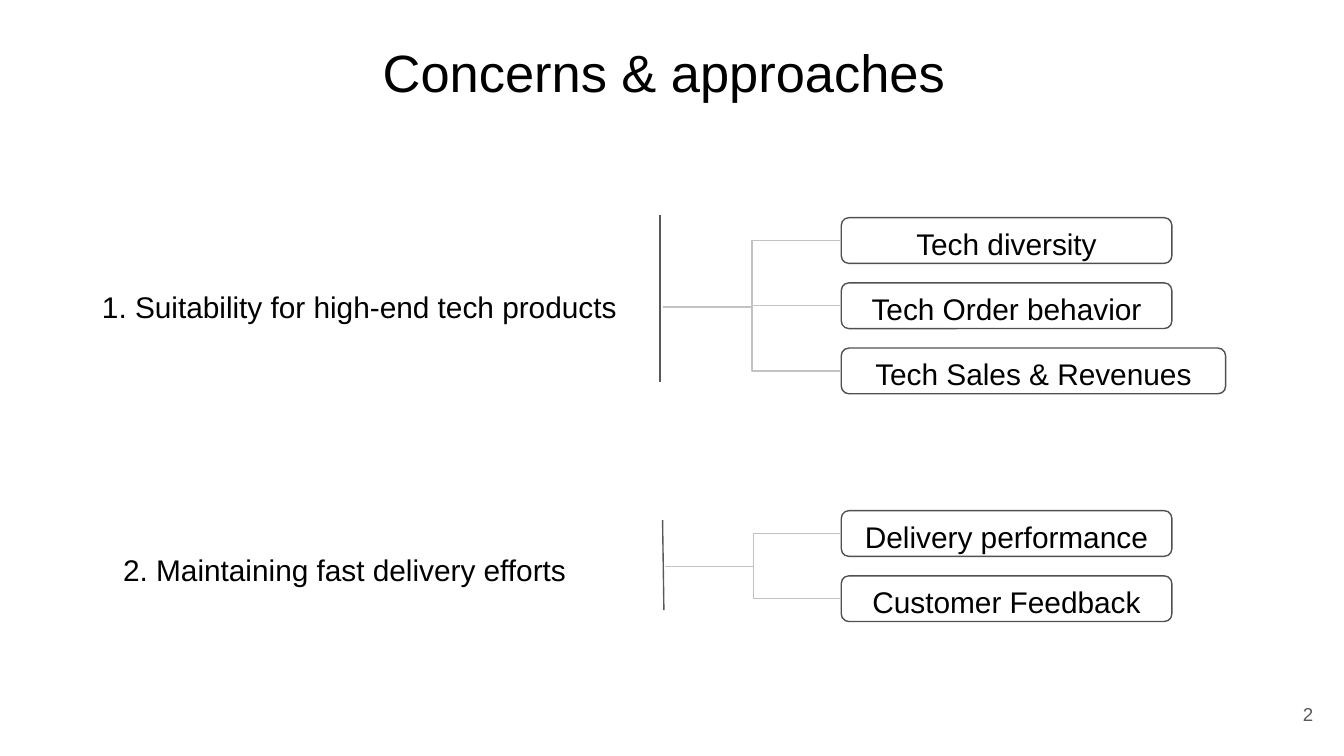
from pptx import Presentation
from pptx.dml.color import RGBColor
from pptx.enum.shapes import MSO_CONNECTOR, MSO_SHAPE
from pptx.enum.text import MSO_ANCHOR, PP_ALIGN
from pptx.oxml.ns import qn
from pptx.util import Inches, Pt
from lxml import etree

BLACK = RGBColor(0x00, 0x00, 0x00)
WHITE = RGBColor(0xFF, 0xFF, 0xFF)
OUTLINE = RGBColor(0x50, 0x50, 0x50)
GRAY = RGBColor(0x59, 0x59, 0x59)
BRANCH = RGBColor(0xC2, 0xC2, 0xC2)
LEFT, CENTER, RIGHT = PP_ALIGN.LEFT, PP_ALIGN.CENTER, PP_ALIGN.RIGHT
TOP, MIDDLE = MSO_ANCHOR.TOP, MSO_ANCHOR.MIDDLE
STRAIGHT, ELBOW = MSO_CONNECTOR.STRAIGHT, MSO_CONNECTOR.ELBOW
ROUNDED = MSO_SHAPE.ROUNDED_RECTANGLE
LEFT_SITE, RIGHT_SITE = 1, 3

# Content: each concern with its bar and its approaches (text, width)
TITLE = "Concerns & approaches"
PAGE_NUMBER = "2"
CONCERNS = [
    {"text": "1. Suitability for high-end tech products",
     "area": (0.63, 1.97, 4.3, 0.63), "spacing": 1.0,
     "bar": (4.91, 1.6, 4.91, 2.84), "first_row": 1.62,
     "approaches": [("Tech diversity", 2.46), ("Tech Order behavior", 2.46),
                    ("Tech Sales & Revenues", 2.86)]},
    {"text": "2. Maintaining fast delivery efforts",
     "area": (0.79, 3.93, 4.16, 0.57), "spacing": 1.15,
     "bar": (4.93, 3.87, 4.94, 4.54), "first_row": 3.8,
     "approaches": [("Delivery performance", 2.46), ("Customer Feedback", 2.46)]},
]
APPROACH_LEFT, APPROACH_HEIGHT = 6.26, 0.34
ROW_PITCH = 0.97 / 2

# Slide in 16:9
prs = Presentation()
prs.slide_width = Inches(10)
prs.slide_height = prs.slide_width * 9 // 16
slide = prs.slides.add_slide(prs.slide_layouts[5])


def write(holder, text, size, color=BLACK, align=CENTER, anchor=MIDDLE, spacing=1.0):
    frame = holder.text_frame
    frame.word_wrap = True
    frame.vertical_anchor = anchor
    frame.margin_left = frame.margin_right = Inches(0.1)
    frame.margin_top = frame.margin_bottom = Inches(0.1)
    paragraph = frame.paragraphs[0]
    paragraph.alignment = align
    paragraph.line_spacing = spacing
    run = paragraph.add_run()
    run.text = text
    run.font.name, run.font.size = "Arial", Pt(size)
    run.font.color.rgb = color


def add_box(area, text, outline, align, spacing):
    box = slide.shapes.add_shape(ROUNDED, *map(Inches, area))
    box.shadow.inherit = False
    box.fill.solid()
    box.fill.fore_color.rgb = WHITE
    box.line.color.rgb = outline
    box.line.width = Pt(0.75)
    write(box, text, 16, align=align, spacing=spacing)
    return box


def add_line(kind, color, ends=(0, 0, 0, 0)):
    line = slide.shapes.add_connector(kind, *map(Inches, ends))
    line.line.color.rgb = color
    line.line.width = Pt(0.75)
    etree.SubElement(line._element.spPr, qn("a:effectLst"))
    return line


# Title
title = slide.shapes.title
title.left, title.top, title.width, title.height = map(Inches, (0.28, 0.2, 9.32, 0.63))
write(title, TITLE, 28.1, anchor=TOP)

# Concerns, each branching to its approaches
for concern in CONCERNS:
    concern_box = add_box(concern["area"], concern["text"], WHITE, LEFT, concern["spacing"])
    for row, (approach, width) in enumerate(concern["approaches"]):
        top = concern["first_row"] + row * ROW_PITCH
        approach_box = add_box((APPROACH_LEFT, top, width, APPROACH_HEIGHT),
                               approach, OUTLINE, CENTER, 1.15)
        branch = add_line(ELBOW, BRANCH)
        branch.begin_connect(concern_box, RIGHT_SITE)
        branch.end_connect(approach_box, LEFT_SITE)
    add_line(STRAIGHT, GRAY, concern["bar"])

# Page number
page_number = slide.shapes.add_textbox(*map(Inches, (9.27, 5.1, 0.6, 0.43)))
write(page_number, PAGE_NUMBER, 10, color=GRAY, align=RIGHT)

prs.save("out.pptx")
